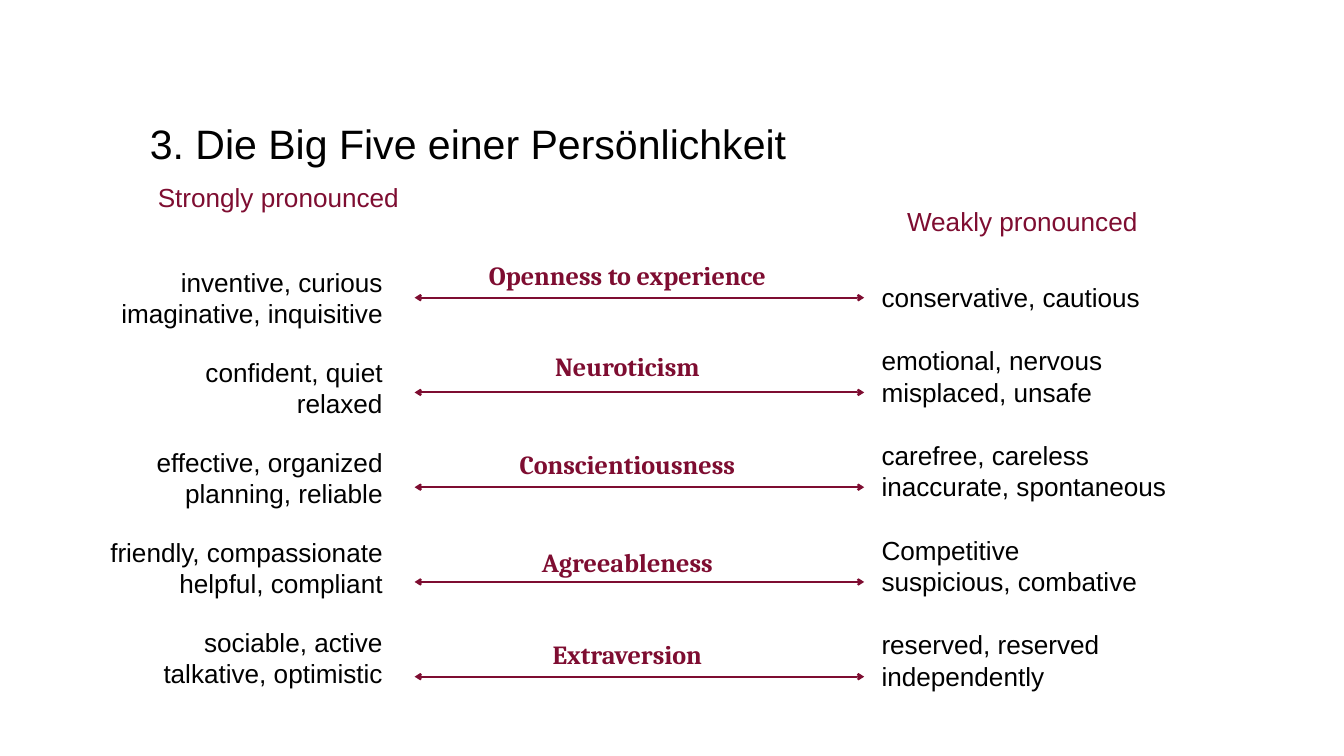
import pptx
import pptx.dml.color
import pptx.enum.shapes
import pptx.enum.text
import pptx.oxml
import pptx.oxml.ns
import pptx.util

Inches = pptx.util.Inches
Align = pptx.enum.text.PP_ALIGN
Anchor = pptx.enum.text.MSO_ANCHOR

BLACK = pptx.dml.color.RGBColor(0x00, 0x00, 0x00)
BURGUNDY = pptx.dml.color.RGBColor(0x7E, 0x0D, 0x31)

# Trait, top of its label, strong pole, weak pole (\v breaks the line)
TRAITS = [
    ("Openness to experience", 3.81,
     "inventive, curious\vimaginative, inquisitive", "conservative, cautious"),
    ("Neuroticism", 5.16,
     "confident, quiet\vrelaxed", "emotional, nervous\vmisplaced, unsafe"),
    ("Conscientiousness", 6.63,
     "effective, organized\vplanning, reliable", "carefree, careless\vinaccurate, spontaneous"),
    ("Agreeableness", 8.08,
     "friendly, compassionate\vhelpful, compliant", "Competitive\vsuspicious, combative"),
    ("Extraversion", 9.45,
     "sociable, active\vtalkative, optimistic", "reserved, reserved\vindependently"),
]
ARROW_TOP, ARROW_PITCH = 4.43, 1.41
STRONG_TOP, STRONG_PITCH = 3.91, 1.34


def style(frame, size, color, font="Arial", bold=False, align=Align.LEFT):
    for paragraph in frame.paragraphs:
        paragraph.alignment = align
        for run in paragraph.runs:
            run.font.name = font
            run.font.size = pptx.util.Pt(size)
            run.font.bold = bold
            run.font.color.rgb = color


def add_text(slide, box, text, color=BLACK, anchor=Anchor.TOP, **look):
    frame = slide.shapes.add_textbox(*map(Inches, box)).text_frame
    frame.word_wrap = True
    frame.vertical_anchor = anchor
    frame.text = text
    style(frame, 28, color, **look)


def add_double_arrow(slide, left, right, y):
    arrow = slide.shapes.add_connector(
        pptx.enum.shapes.MSO_CONNECTOR.STRAIGHT,
        Inches(left), Inches(y), Inches(right), Inches(y))
    arrow.line.color.rgb = BURGUNDY
    arrow.line.width = pptx.util.Pt(2.25)
    line = arrow.line._get_or_add_ln()
    for end in ("a:headEnd", "a:tailEnd"):
        pptx.oxml.ns.qn(end)
        tip = line.makeelement(pptx.oxml.ns.qn(end), {"type": "arrow"})
        line.append(tip)
    properties = arrow._element.spPr
    properties.append(properties.makeelement(pptx.oxml.ns.qn("a:effectLst"), {}))


def add_title(slide, box, text):
    title = slide.shapes.title
    title.left, title.top, title.width, title.height = map(Inches, box)
    frame = title.text_frame
    frame.text = text
    frame.auto_size = pptx.enum.text.MSO_AUTO_SIZE.NONE
    frame.vertical_anchor = Anchor.MIDDLE
    frame.paragraphs[0].line_spacing = 0.9
    style(frame, 44, BLACK)


def add_strong_poles(slide, left, width):
    for row, (_, _, strong, _) in enumerate(TRAITS):
        top = STRONG_TOP + row * STRONG_PITCH
        add_text(slide, (left, top, width, 1.04), strong, align=Align.RIGHT)


def add_trait_scales(slide, left, width):
    for row, (trait, label_top, _, _) in enumerate(TRAITS):
        add_text(slide, (left, label_top, width, 0.57), trait, BURGUNDY,
                 font="Cambria", bold=True, align=Align.CENTER)
        add_double_arrow(slide, left + 0.18, left + width + 0.18,
                         ARROW_TOP + row * ARROW_PITCH)


def add_weak_poles(slide, left, width):
    """Each text ends just below the arrow of its row."""
    for row, (_, _, _, weak) in enumerate(TRAITS):
        bottom = ARROW_TOP + row * ARROW_PITCH + 0.27
        add_text(slide, (left, bottom - 1.04, width, 1.04), weak, anchor=Anchor.BOTTOM)


def main():
    deck = pptx.Presentation()
    deck.slide_width, deck.slide_height = Inches(20), Inches(11.25)
    slide = deck.slides.add_slide(deck.slide_layouts.get_by_name("Title Only"))
    add_title(slide, (2.13, 1.49, 15.75, 1.38), "3. Die Big Five einer Persönlichkeit")
    add_text(slide, (2.25, 2.65, 4, 0.57), "Strongly pronounced", BURGUNDY)
    add_text(slide, (13.4, 3.01, 4, 0.57), "Weakly pronounced", BURGUNDY)
    add_strong_poles(slide, 1.29, 4.5)
    add_trait_scales(slide, 5.99, 6.69)
    add_weak_poles(slide, 13.02, 4.6)
    deck.save("out.pptx")


if __name__ == "__main__":
    main()
